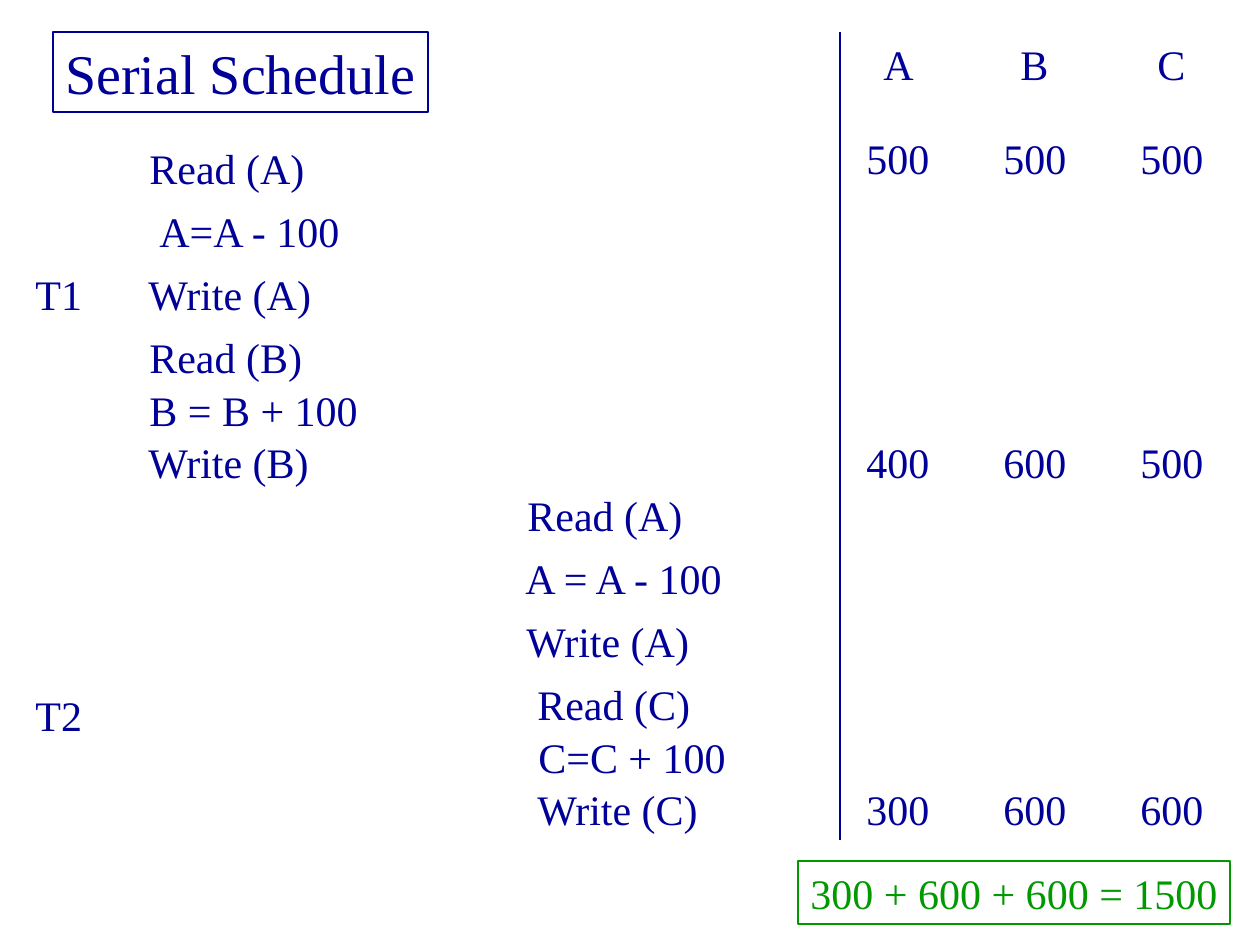
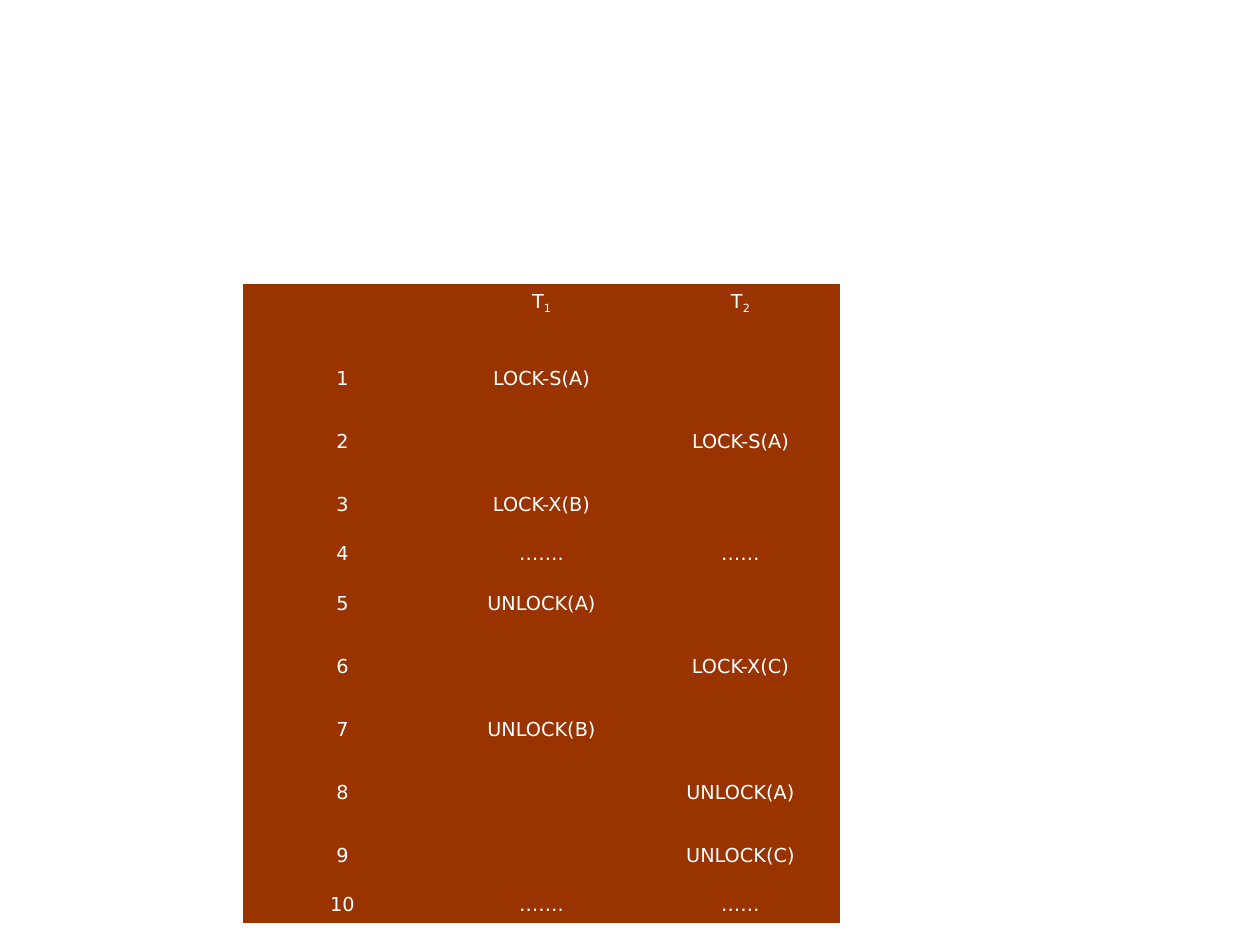
from dataclasses import dataclass
from typing import Optional

from lxml.etree import SubElement
from pptx import Presentation
from pptx.dml.color import RGBColor
from pptx.enum.shapes import MSO_CONNECTOR as CONN, MSO_SHAPE as SHAPE
from pptx.enum.text import MSO_ANCHOR as ANCHOR, MSO_AUTO_SIZE as AUTO, PP_ALIGN as ALIGN
from pptx.oxml.ns import qn
from pptx.util import Emu, Pt

# Shared look
NAVY = RGBColor(0x00, 0x00, 0x99)
GREEN = RGBColor(0x00, 0x99, 0x00)
BROWN = RGBColor(0x99, 0x33, 0x00)
WHITE = RGBColor(0xFF, 0xFF, 0xFF)
SERIF, SANS = "Times New Roman", "DejaVu Sans"
PX_PER_INCH = 126
LINE_WIDTH = Pt(0.75)
NO_STYLE_NO_GRID = "{2D5ABB26-0587-4C30-8999-92F81FD0307C}"


@dataclass(frozen=True)
class Label:
    text: str
    left: int
    top: int
    width: int
    height: int = 63
    size: int = 24
    color: RGBColor = NAVY
    framed: bool = False


@dataclass(frozen=True)
class Transaction:
    name: str
    name_top: int
    top: int
    steps: tuple[tuple[str, int, int], ...]  # text, left, width


@dataclass(frozen=True)
class LockStep:
    t1: str = ""
    t2: str = ""
    height: int = 63


# Serial schedule
STEP_OFFSETS = (0, 63, 126, 189, 242, 294)
TRANSACTIONS = (
    Transaction("T1", 262, 136, (
        ("Read (A)", 137, 180), ("A=A - 100", 147, 207), ("Write (A)", 136, 200),
        ("Read (B)", 137, 178), ("B = B + 100", 137, 233), ("Write (B)", 136, 186))),
    Transaction("T2", 683, 483, (
        ("Read (A)", 515, 180), ("A = A - 100", 513, 228), ("Write (A)", 514, 200),
        ("Read (C)", 525, 178), ("C=C + 100", 526, 213), ("Write (C)", 525, 186))),
)
BALANCE_CENTER, BALANCE_STEP = 898, 137
BALANCES = (  # top, box width, values of A, B, C
    (32, 54, ("A", "B", "C")),
    (126, 88, ("500", "500", "500")),
    (430, 88, ("400", "600", "500")),
    (777, 88, ("300", "600", "600")),
)

# Lock schedule
COLUMN_WIDTH = 199
HEADER_HEIGHT = 63
DOTS = LockStep("…….", "……", 36)
LOCK_STEPS = (
    LockStep(t1="LOCK-S(A)"),
    LockStep(t2="LOCK-S(A)"),
    LockStep(t1="LOCK-X(B)"),
    DOTS,
    LockStep(t1="UNLOCK(A)"),
    LockStep(t2="LOCK-X(C)"),
    LockStep(t1="UNLOCK(B)"),
    LockStep(t2="UNLOCK(A)"),
    LockStep(t2="UNLOCK(C)"),
    DOTS,
)


def px(n: float) -> Emu:
    return Emu(round(n * 914400 / PX_PER_INCH))


def style_run(r, face: str, size: int, color: RGBColor) -> None:
    r.font.name = face
    r.font.size = Pt(size)
    r.font.color.rgb = color


def draw_label(s, label: Label) -> None:
    box = [px(n) for n in (label.left, label.top, label.width, label.height)]
    if label.framed:
        sp = s.shapes.add_shape(SHAPE.RECTANGLE, *box)
        sp.shadow.inherit = False
        sp.fill.background()
        sp.line.color.rgb = label.color
        sp.line.width = LINE_WIDTH
    else:
        sp = s.shapes.add_textbox(*box)
    tf = sp.text_frame
    # The free right margin keeps every label on one line
    tf.word_wrap = True
    tf.auto_size = AUTO.NONE
    tf.margin_right = 0
    tf.vertical_anchor = ANCHOR.TOP
    tf.text = label.text
    p = tf.paragraphs[0]
    p.alignment = ALIGN.LEFT
    style_run(p.runs[0], SERIF, label.size, label.color)


def draw_divider(s, x: int, top: int, bottom: int) -> None:
    line = s.shapes.add_connector(CONN.STRAIGHT, px(x), px(top), px(x), px(bottom))
    line.line.color.rgb = NAVY
    line.line.width = LINE_WIDTH
    SubElement(line._element.spPr, qn("a:effectLst"))


def fill_cell(cell, text: str, subscript: Optional[str] = None) -> None:
    cell.fill.solid()
    cell.fill.fore_color.rgb = BROWN
    cell.margin_left = cell.margin_right = px(5)
    cell.vertical_anchor = ANCHOR.TOP if subscript else ANCHOR.MIDDLE
    if not text:
        return
    cell.text_frame.text = text
    p = cell.text_frame.paragraphs[0]
    p.alignment = ALIGN.CENTER
    if subscript:
        r = p.add_run()
        r.text = subscript
        r.font._element.set("baseline", "-25000")
    for r in p.runs:
        style_run(r, SANS, 11, WHITE)


def build_serial_schedule(s) -> None:
    # Operations of both transactions
    for t in TRANSACTIONS:
        draw_label(s, Label(t.name, 23, t.name_top, 72))
        for offset, (text, left, width) in zip(STEP_OFFSETS, t.steps):
            draw_label(s, Label(text, left, t.top + offset, width))

    # Balances to the right of the divider
    draw_divider(s, 840, 32, 840)
    for top, width, values in BALANCES:
        for i, value in enumerate(values):
            left = BALANCE_CENTER + i * BALANCE_STEP - width // 2
            draw_label(s, Label(value, left, top, width))

    # Title and total
    draw_label(s, Label("Serial Schedule", 53, 32, 375, 80, size=32, framed=True))
    draw_label(s, Label("300 + 600 + 600 = 1500", 798, 861, 432, color=GREEN, framed=True))


def build_lock_schedule(s) -> None:
    heights = [HEADER_HEIGHT] + [step.height for step in LOCK_STEPS]
    table = s.shapes.add_table(len(heights), 3, px(243), px(284),
                               px(3 * COLUMN_WIDTH), px(sum(heights))).table
    table.first_row = table.horz_banding = False
    table._tbl.tblPr.find(qn("a:tableStyleId")).text = NO_STYLE_NO_GRID
    for column in table.columns:
        column.width = px(COLUMN_WIDTH)
    for row, height in zip(table.rows, heights):
        row.height = px(height)

    # Header, then one row per step
    fill_cell(table.cell(0, 0), "")
    for c in (1, 2):
        fill_cell(table.cell(0, c), "T", str(c))
    for n, step in enumerate(LOCK_STEPS, 1):
        for c, text in enumerate((str(n), step.t1, step.t2)):
            fill_cell(table.cell(n, c), text)


def main() -> None:
    prs = Presentation()
    prs.slide_width, prs.slide_height = px(1260), px(945)
    blank = prs.slide_layouts[6]
    for build in (build_serial_schedule, build_lock_schedule):
        build(prs.slides.add_slide(blank))
    prs.save("out.pptx")


if __name__ == "__main__":
    main()
